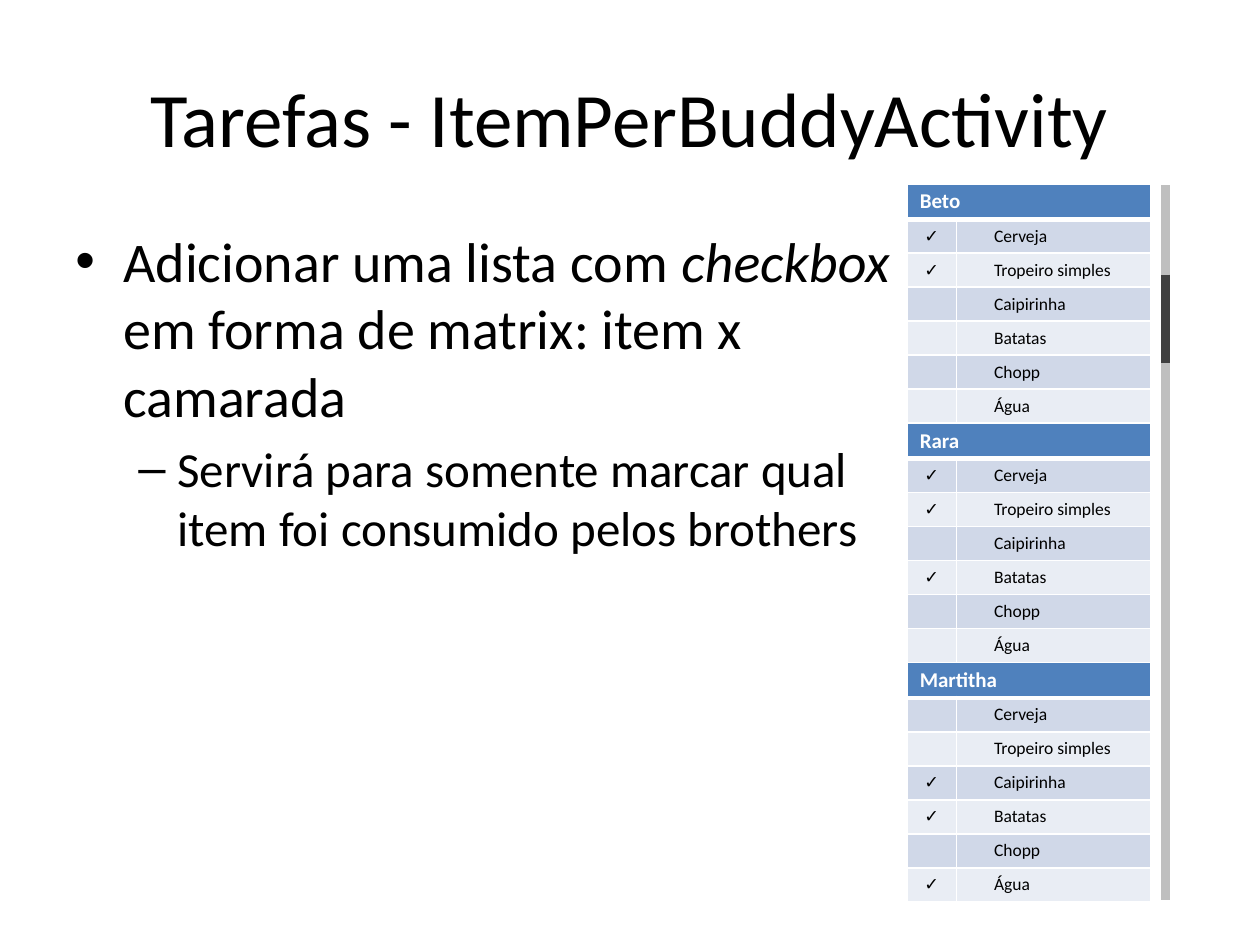
"""Build a task slide with a consumption checklist per buddy."""
import pptx
import pptx.dml.color
import pptx.enum.shapes
import pptx.enum.text
import pptx.oxml.ns
import pptx.util
from lxml import etree
from pptx.util import Inches

ALIGN = pptx.enum.text.PP_ALIGN
ANCHOR = pptx.enum.text.MSO_ANCHOR
ITEMS = ["Cerveja", "Tropeiro simples", "Caipirinha", "Batatas", "Chopp", "Água"]
BUDDIES = [
    ("Beto", {"Cerveja", "Tropeiro simples"}),
    ("Rara", {"Cerveja", "Tropeiro simples", "Batatas"}),
    ("Martitha", {"Caipirinha", "Batatas", "Água"}),
]
BANDS = ["D0D8E8", "E9EDF4"]
LIST_LEFT, LIST_TOP, LIST_HEIGHT = 7.2, 1.46, 1.9
COLUMNS = [0.39, 1.54]
ROW_HEIGHT = 0.27


def color(value):
    """Turn a hex string into a colour."""
    return pptx.dml.color.RGBColor.from_string(value)


def add_element(parent, tag, **attributes):
    """Append a DrawingML element with the given attributes."""
    return etree.SubElement(parent, pptx.oxml.ns.qn(tag), attributes)


def style_font(font, size, name="Calibri", ink="000000", bold=False):
    """Set size, typeface, colour and weight of a font."""
    font.size = pptx.util.Pt(size)
    font.name = name
    font.bold = bold
    font.color.rgb = color(ink)


def add_box(page, left, top, width, height, anchor):
    """Add a wrapping text box and return its text frame."""
    frame = page.shapes.add_textbox(
        Inches(left), Inches(top), Inches(width), Inches(height)).text_frame
    frame.word_wrap = True
    frame.vertical_anchor = anchor
    return frame


def add_bullet(para, spans, size, mark, margin, indent):
    """Fill a bulleted paragraph with (text, italic) spans."""
    properties = para._p.get_or_add_pPr()
    properties.set("marL", str(Inches(margin)))
    properties.set("indent", str(Inches(indent)))
    add_element(properties, "a:buFont", typeface="Arial")
    add_element(properties, "a:buChar", char=mark)
    para.space_before = pptx.util.Pt(size * 0.2)
    style_font(para.font, size)
    for text, italic in spans:
        span = para.add_run()
        span.text = text
        if italic:
            span.font.italic = True


def style_cell(cell, fill, top=1, bottom=1):
    """Give a cell white borders, a fill and tight vertical margins."""
    properties = cell._tc.get_or_add_tcPr()
    for side, width in zip("LRTB", (1, 1, top, bottom)):
        line = add_element(properties, f"a:ln{side}", w=str(pptx.util.Pt(width)))
        add_element(add_element(line, "a:solidFill"), "a:srgbClr", val="FFFFFF")
    cell.fill.solid()
    cell.fill.fore_color.rgb = color(fill)
    cell.margin_top = cell.margin_bottom = Inches(0.03)
    cell.vertical_anchor = ANCHOR.MIDDLE


def write_cell(cell, text, size, **font):
    """Write one styled paragraph in a cell and return it."""
    para = cell.text_frame.paragraphs[0]
    style_font(para.font, size, **font)
    if text:
        para.add_run().text = text
    else:
        add_element(para._p, "a:endParaRPr", sz=str(size * 100))
    return para


def add_checklist(page, top, buddy, consumed):
    """Add the table of items that one buddy consumed."""
    table = page.shapes.add_table(
        len(ITEMS) + 1, len(COLUMNS), Inches(LIST_LEFT), Inches(top),
        Inches(sum(COLUMNS)), Inches(LIST_HEIGHT)).table
    table.first_row = table.horz_banding = False
    for column, width in zip(table.columns, COLUMNS):
        column.width = Inches(width)
    for row in table.rows:
        row.height = Inches(ROW_HEIGHT)
    table.rows[0].height = Inches(LIST_HEIGHT - len(ITEMS) * ROW_HEIGHT)

    for column in range(len(COLUMNS)):
        style_cell(table.cell(0, column), "4F81BD", bottom=3)
    table.cell(0, 0).merge(table.cell(0, 1))
    write_cell(table.cell(0, 0), buddy, 12, ink="FFFFFF", bold=True)

    for index, item in enumerate(ITEMS):
        check, label = table.cell(index + 1, 0), table.cell(index + 1, 1)
        for cell in (check, label):
            style_cell(cell, BANDS[index % 2], top=1 if index else 3)
        mark = "✓" if item in consumed else ""
        write_cell(check, mark, 10, name="Arial").alignment = ALIGN.CENTER
        para = write_cell(label, item, 10)
        para._p.get_or_add_pPr().set("marL", str(Inches(0.2)))


def add_scroll_line(page, top, bottom, ink):
    """Add one vertical part of the scroll bar."""
    line = page.shapes.add_connector(
        pptx.enum.shapes.MSO_CONNECTOR.STRAIGHT,
        Inches(9.25), Inches(top), Inches(9.25), Inches(bottom))
    line.line.width = pptx.util.Pt(5.5)
    line.line.color.rgb = color(ink)
    add_element(line._element.spPr, "a:effectLst")


def main():
    """Build and save the deck."""
    deck = pptx.Presentation()
    deck.slide_width, deck.slide_height = Inches(10), Inches(7.5)
    page = deck.slides.add_slide(deck.slide_layouts[6])

    title = add_box(page, 0.5, 0.3, 9, 1.25, ANCHOR.MIDDLE).paragraphs[0]
    title.text = "Tarefas - ItemPerBuddyActivity"
    title.alignment = ALIGN.CENTER
    style_font(title.font, 44)

    body = add_box(page, 0.5, 1.75, 6.78, 4.95, ANCHOR.TOP)
    add_bullet(body.paragraphs[0], [
        ("Adicionar uma lista com ", False),
        ("checkbox ", True),
        ("em forma de matrix: item x camarada", False),
    ], 32, "•", 0.38, -0.38)
    add_bullet(body.add_paragraph(), [
        ("Servirá para somente marcar qual item foi consumido pelos brothers", False),
    ], 28, "–", 0.81, -0.31)

    for index, (buddy, consumed) in enumerate(BUDDIES):
        add_checklist(page, LIST_TOP + index * LIST_HEIGHT, buddy, consumed)
    add_scroll_line(page, 1.47, 7.14, "BFBFBF")
    add_scroll_line(page, 2.18, 2.88, "404040")
    deck.save("out.pptx")


if __name__ == "__main__":
    main()
